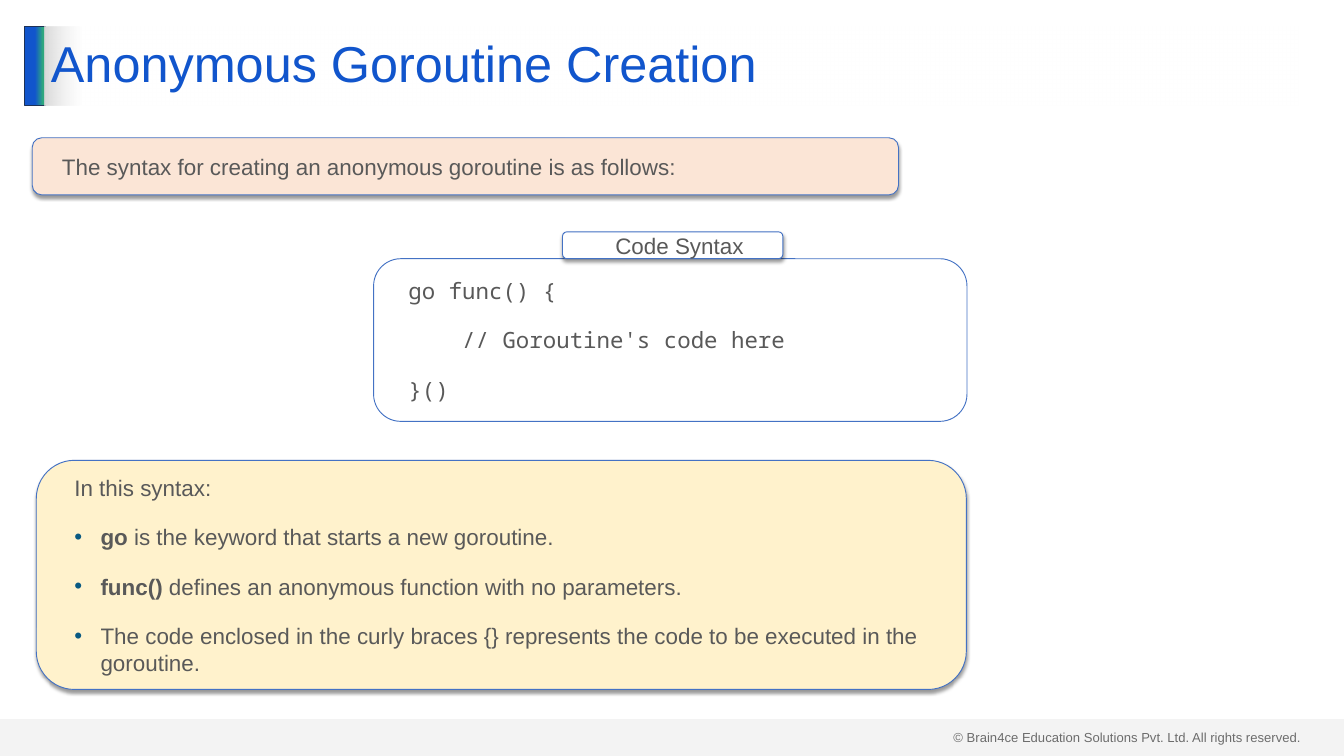
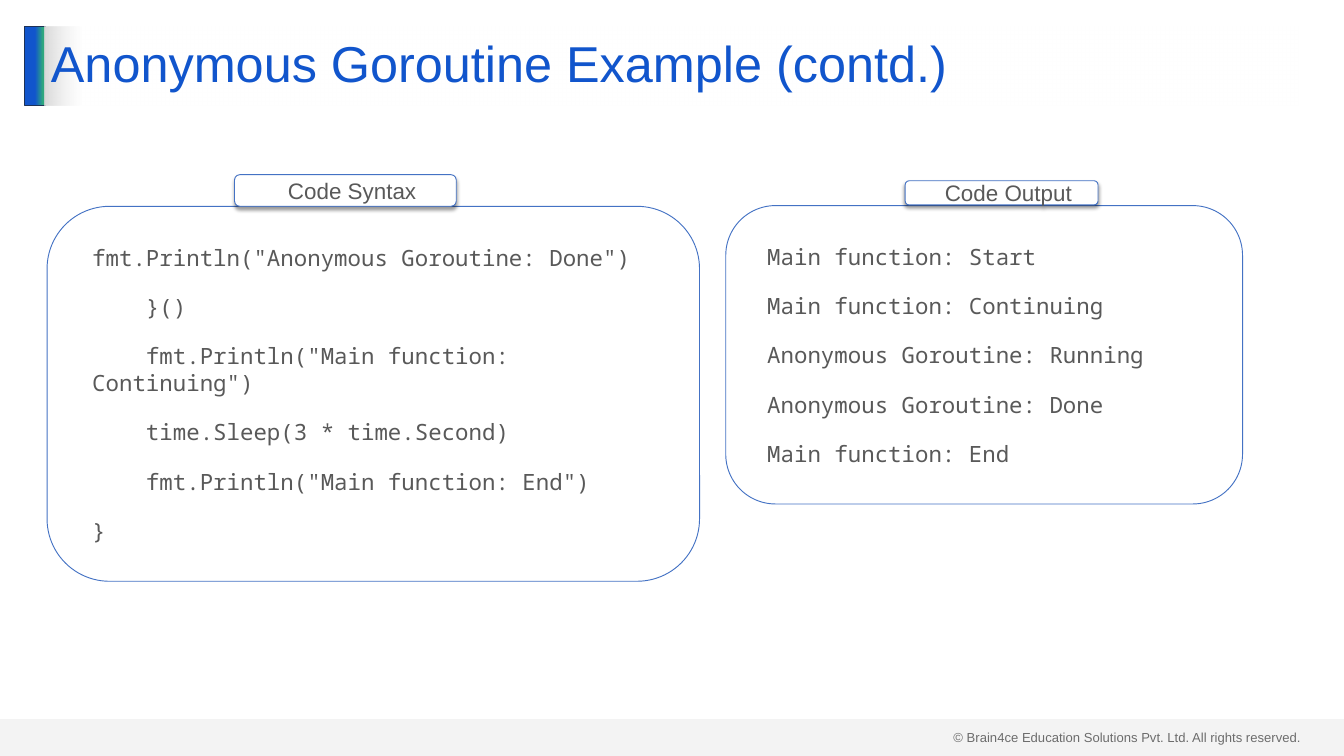
from pptx import Presentation
from pptx.dml.color import RGBColor
from pptx.enum.shapes import MSO_SHAPE
from pptx.enum.text import MSO_ANCHOR, MSO_AUTO_SIZE, PP_ALIGN
from pptx.oxml.ns import qn
from pptx.util import Inches, Pt
from lxml.etree import SubElement

# Shared style
COLORS = {
    "title": "1155CC", "green": "2EA87D", "accent_line": "1E3256",
    "grey": "D9D9D9", "white": "FFFFFF", "black": "000000",
    "text": "595959", "footer": "404040", "border": "4472C4",
    "bullet": "095A82", "peach": "FBE5D6", "cream": "FFF2CC",
}
SANS, MONO = "Arial", "Noto Sans Mono"
FOOTER = "© Brain4ce Education Solutions Pvt. Ltd. All rights reserved."

# Gradient stops: position %, colour, opacity %
ACCENT_STOPS = [(51, "title", 100), (90, "green", 100), (100, "green", 100)]
TITLE_STOPS = [(0, "grey", 100), (0, "grey", 100), (3, "white", 50)]

# Content: boxes are (left, top, width, height); a paragraph given as
# a (bold, plain) pair is a bullet
SLIDES = [
    {
        "title": "Anonymous Goroutine Creation",
        "notes": [
            ((0.48, 2.05, 12.89, 0.85), "peach",
             ["The syntax for creating an anonymous goroutine is as follows:"]),
            ((0.54, 6.85, 13.84, 3.41), "cream",
             ["In this syntax:",
              ("go", " is the keyword that starts a new goroutine."),
              ("func() ", "defines an anonymous function with no parameters."),
              ("", "The code enclosed in the curly braces {} represents "
                   "the code to be executed in the goroutine.")]),
        ],
        "code": [
            ((5.56, 3.85, 8.83, 2.42), "Code Syntax", (8.37, 3.45, 3.28, 0.4),
             ["go func() {",
              "    // Goroutine's code here",
              "}()"]),
        ],
    },
    {
        "title": "Anonymous Goroutine Example (contd.)",
        "notes": [],
        "code": [
            ((0.7, 3.07, 9.71, 5.58), "Code Syntax", (3.49, 2.6, 3.3, 0.47),
             ['fmt.Println("Anonymous Goroutine: Done")',
              "    }()",
              '    fmt.Println("Main function: Continuing")',
              "    time.Sleep(3 * time.Second)",
              '    fmt.Println("Main function: End")',
              "}"]),
            ((10.8, 3.06, 7.69, 4.44), "Code Output", (13.47, 2.69, 2.87, 0.36),
             ["Main function: Start",
              "Main function: Continuing",
              "Anonymous Goroutine: Running",
              "Anonymous Goroutine: Done",
              "Main function: End"]),
        ],
    },
]


def rgb(name):
    return RGBColor.from_string(COLORS[name])


def add_color(parent, name, opacity=100):
    clr = SubElement(parent, qn("a:srgbClr"), val=COLORS[name])
    if opacity < 100:
        SubElement(clr, qn("a:alpha"), val=str(opacity * 1000))
    return clr


def style_font(font, name, size, color):
    font.name, font.size = name, Pt(size)
    font.color.rgb = rgb(color)


def add_box(slide, kind, box, fill=None, line=None):
    sp = slide.shapes.add_shape(kind, *map(Inches, box))
    if fill:
        sp.fill.solid()
        sp.fill.fore_color.rgb = rgb(fill)
    else:
        sp.fill.background()
    if line:
        sp.line.color.rgb = rgb(line)
        sp.line.width = Pt(1)
    else:
        sp.line.fill.background()
    sp.shadow.inherit = False
    return sp


def set_gradient(sp, stops):
    sp.fill.gradient()
    sp.fill.gradient_angle = 0
    gs_list = sp._element.spPr.find(qn("a:gradFill")).find(qn("a:gsLst"))
    for gs in list(gs_list):
        gs_list.remove(gs)
    for pos, color, opacity in stops:
        add_color(SubElement(gs_list, qn("a:gs"), pos=str(pos * 1000)),
                  color, opacity)


def add_shadow(sp):
    effects = sp._element.spPr.find(qn("a:effectLst"))
    shadow = SubElement(effects, qn("a:outerShdw"), blurRad=str(Pt(4)),
                        dist=str(Pt(3)), dir="5400000", algn="t",
                        rotWithShape="0")
    add_color(shadow, "black", 40)


def set_indent(p, left, first=0.0):
    pPr = p._p.get_or_add_pPr()
    pPr.set("marL", str(Inches(left)))
    pPr.set("indent", str(Inches(first)))
    return pPr


def add_bullet(p):
    pPr = set_indent(p, 0.59, -0.39)
    add_color(SubElement(pPr, qn("a:buClr")), "bullet")
    SubElement(pPr, qn("a:buFont"), typeface=SANS)
    SubElement(pPr, qn("a:buChar"), char="•")


def add_panel(slide, box, paragraphs, fill=None, font=SANS,
              align=PP_ALIGN.LEFT):
    """Rounded box with text; filled ones cast a shadow."""
    sp = add_box(slide, MSO_SHAPE.ROUNDED_RECTANGLE, box, fill, "border")
    if fill:
        add_shadow(sp)
    tf = sp.text_frame
    tf.word_wrap = True
    tf.vertical_anchor = MSO_ANCHOR.MIDDLE
    tf.margin_left = tf.margin_right = Inches(0.2)
    tf.margin_top = tf.margin_bottom = Inches(0.1)
    for i, item in enumerate(paragraphs):
        p = tf.add_paragraph() if i else tf.paragraphs[0]
        p.alignment = align
        if isinstance(item, tuple):
            add_bullet(p)
            bold, plain = item
        else:
            set_indent(p, 0.2)
            bold, plain = "", item
        p.space_before = Pt(12 if i else 0)
        p.space_after = Pt(12)
        for text, is_bold in ((bold, True), (plain, False)):
            if text:
                r = p.add_run()
                r.text = text
                r.font.bold = is_bold
                style_font(r.font, font, 24, "text")


def add_frame(slide, title):
    """Footer, accent bar and title found on every slide."""
    tb = slide.shapes.add_textbox(*map(Inches, (14.09, 10.8, 5.41, 0.34)))
    tf = tb.text_frame
    tf.word_wrap = True
    tf.auto_size = MSO_AUTO_SIZE.SHAPE_TO_FIT_TEXT
    tf.text = FOOTER
    style_font(tf.paragraphs[0].runs[0].font, SANS, 14, "footer")

    accent = add_box(slide, MSO_SHAPE.RECTANGLE, (0.37, 0.39, 0.3, 1.18),
                     line="accent_line")
    set_gradient(accent, ACCENT_STOPS)

    band = add_box(slide, MSO_SHAPE.RECTANGLE, (0, 10.7, 20, 0.55), "grey")
    clr = band._element.spPr.find(qn("a:solidFill"))[0]
    SubElement(clr, qn("a:alpha"), val="29000")

    sp = add_box(slide, MSO_SHAPE.RECTANGLE, (0.66, 0.39, 18.67, 1.18))
    set_gradient(sp, TITLE_STOPS)
    tf = sp.text_frame
    tf.word_wrap = True
    tf.vertical_anchor = MSO_ANCHOR.MIDDLE
    tf.text = title
    p = tf.paragraphs[0]
    p.alignment = PP_ALIGN.LEFT
    p.line_spacing = 0.9
    style_font(p.runs[0].font, SANS, 54, "title")


def main():
    prs = Presentation()
    prs.slide_width, prs.slide_height = Inches(20), Inches(11.25)
    for content in SLIDES:
        slide = prs.slides.add_slide(prs.slide_layouts[6])
        add_frame(slide, content["title"])
        for box, fill, paragraphs in content["notes"]:
            add_panel(slide, box, paragraphs, fill)
        for box, label, label_box, lines in content["code"]:
            add_panel(slide, box, lines, font=MONO)
            add_panel(slide, label_box, [label], "white",
                      align=PP_ALIGN.CENTER)
    prs.save("out.pptx")


if __name__ == "__main__":
    main()
